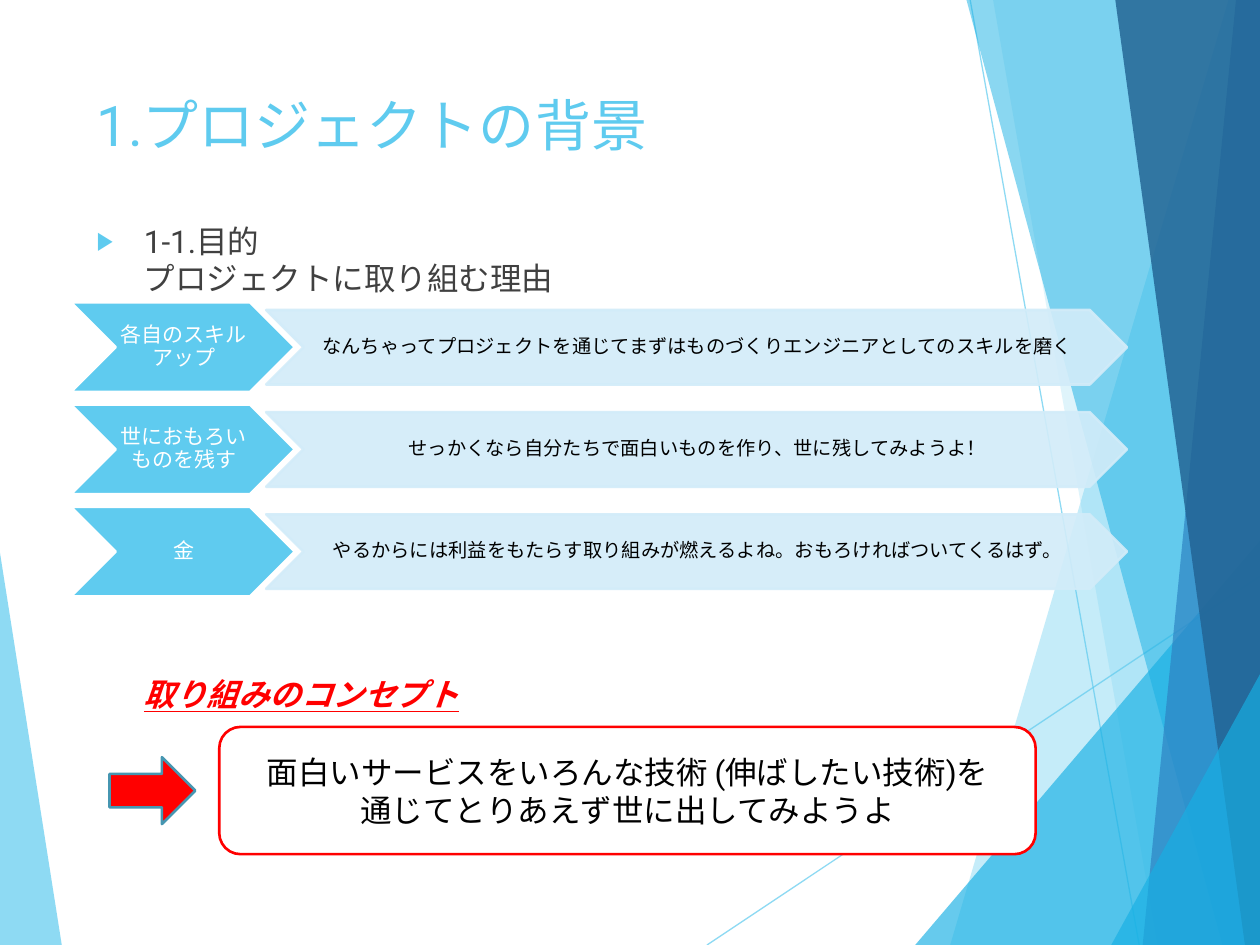
import pptx
import pptx.util
import pptx.dml.color
import pptx.enum.shapes
import pptx.enum.text
import pptx.oxml
import pptx.oxml.ns
import lxml.etree

Pt = pptx.util.Pt
MSO = pptx.enum.shapes.MSO_SHAPE
ALIGN = pptx.enum.text.PP_ALIGN
ANCHOR = pptx.enum.text.MSO_ANCHOR
qn = pptx.oxml.ns.qn

COLORS = {
    "sky": "5FCBEF", "cyan": "17B0E4", "blue": "2E83C3", "navy": "226292",
    "pale": "D2ECF9", "teal": "4696B1", "red": "FF0000", "text": "404040",
    "black": "000000", "white": "FFFFFF",
}
FONTS = {
    "title": {"name": "Roboto", "size": Pt(32), "bold": False},
    "body": {"name": "Roboto", "size": Pt(18)},
    "concept": {"name": "Roboto", "size": Pt(18), "bold": True, "italic": True, "underline": True},
    "label": {"name": "Roboto", "size": Pt(12)},
    "reason": {"name": "Roboto", "size": Pt(11)},
}
TIGHT = {"margin_left": Pt(1.2), "margin_right": 0, "margin_top": Pt(0.6), "margin_bottom": Pt(0.6)}
W, H = 720, 540
FACETS = [
    ("sky", 70, [(0, 316), (35.3, H), (0, H)]),
    ("sky", 36, [(702, 0), (543, H), (W, H), (W, 0)]),
    ("sky", 20, [(567.5, 0), (661.5, H), (W, H), (W, 0)]),
    ("cyan", 66, [(523, H), (W, 309), (W, H)]),
    ("cyan", 50, [(552.3, 0), (698.5, H), (W, H), (W, 0)]),
    ("blue", 70, [(706.3, 0), (653, H), (W, H), (W, 0)]),
    ("navy", 82, [(637.3, 0), (711.4, H), (W, H), (W, 0)]),
    ("cyan", 66, [(635, H), (W, 385.2), (W, H)]),
]
RAYS = [(404, H, W, 329.3), (554.4, 0, 651, H)]
REASONS = [
    ("各自のスキルアップ", "なんちゃってプロジェクトを通じてまずはものづくりエンジニアとしてのスキルを磨く"),
    ("世におもろいものを残す", "せっかくなら自分たちで面白いものを作り、世に残してみようよ！"),
    ("金", "やるからには利益をもたらす取り組みが燃えるよね。おもろければついてくるはず。"),
]


def rgb(name):
    return pptx.dml.color.RGBColor.from_string(COLORS[name])


def set_all(obj, values):
    for key, value in values.items():
        setattr(obj, key, value)


def set_alpha(sp, percent):
    for clr in sp._element.spPr.iter(qn("a:srgbClr")):
        lxml.etree.SubElement(clr, qn("a:alpha")).set("val", str(percent * 1000))


def paint(sp, fill, line=None, alpha=100):
    sp.shadow.inherit = False
    sp.fill.solid()
    sp.fill.fore_color.rgb = rgb(fill)
    if line:
        sp.line.color.rgb = rgb(line)
        sp.line.width = Pt(1.5)
    else:
        sp.line.fill.background()
    if alpha < 100:
        set_alpha(sp, alpha)


def write(p, text, font, color, **layout):
    r = p.add_run()
    r.text = text
    set_all(r.font, FONTS[font])
    r.font.color.rgb = rgb(color)
    set_all(p, layout)


def add_box(slide, kind, x, y, w, h, fill, line, alpha=100):
    sp = slide.shapes.add_shape(kind, Pt(x), Pt(y), Pt(w), Pt(h))
    paint(sp, fill, line, alpha)
    set_all(sp.text_frame, {"word_wrap": True, "vertical_anchor": ANCHOR.MIDDLE})
    return sp


def add_backdrop(slide, x, y):
    def facet(color, alpha, points):
        pts = [(Pt(x + px), Pt(y + py)) for px, py in points]
        fb = slide.shapes.build_freeform(*pts[0], scale=1.0)
        fb.add_line_segments(pts[1:], close=True)
        paint(fb.convert_to_shape(), color, alpha=alpha)

    facet(*FACETS[0])
    for x1, y1, x2, y2 in RAYS:
        ray = slide.shapes.add_connector(
            pptx.enum.shapes.MSO_CONNECTOR.STRAIGHT,
            Pt(x + x1), Pt(y + y1), Pt(x + x2), Pt(y + y2))
        ray.line.color.rgb = rgb("sky")
        ray.line.width = Pt(0.75)
        set_alpha(ray, 70)
        lxml.etree.SubElement(ray._element.spPr, qn("a:effectLst"))
    for item in FACETS[1:]:
        facet(*item)


def place(slide, sp, x, y, w, h):
    set_all(sp, {"left": Pt(x), "top": Pt(y), "width": Pt(w), "height": Pt(h)})
    slide.shapes._spTree.append(sp._element)
    tf = sp.text_frame
    set_all(tf, {"word_wrap": True, "vertical_anchor": ANCHOR.TOP,
                 "auto_size": pptx.enum.text.MSO_AUTO_SIZE.NONE})
    return tf


def add_title(slide, x, y, w, h):
    tf = place(slide, slide.shapes.title, x, y, w, h)
    write(tf.paragraphs[0], "1.プロジェクトの背景", "title", "sky", alignment=ALIGN.LEFT)


def set_bullet(p, indent, char=None):
    pPr = p._p.get_or_add_pPr()
    pPr.set("marL", str(Pt(indent)))
    pPr.set("indent", str(-Pt(indent) if char else 0))
    if not char:
        lxml.etree.SubElement(pPr, qn("a:buNone"))
        return
    clr = lxml.etree.SubElement(pPr, qn("a:buClr"))
    lxml.etree.SubElement(clr, qn("a:srgbClr")).set("val", COLORS["sky"])
    lxml.etree.SubElement(pPr, qn("a:buSzPct")).set("val", "80000")
    lxml.etree.SubElement(pPr, qn("a:buChar")).set("char", char)


def add_body(slide, x, y, w, h):
    tf = place(slide, slide.placeholders[1], x, y, w, h)
    p = tf.paragraphs[0]
    write(p, "1-1.目的", "body", "text", space_before=Pt(0))
    p.add_line_break()
    write(p, "プロジェクトに取り組む理由", "body", "text")
    set_bullet(p, 27, "▶")
    p = tf.add_paragraph()
    write(p, "取り組みのコンセプト", "concept", "red", space_before=Pt(216))
    set_bullet(p, 27)


def add_reason(slide, x, y, w, h, label, reason):
    parts = [
        (x, y, 128, h, "sky", "white", 100, label, "label", "white"),
        (x + 111.6, y + 4.3, w - 111.6, h - 8.6, "pale", "pale", 90, reason, "reason", "black"),
    ]
    for px, py, pw, ph, fill, line, alpha, text, font, color in parts:
        sp = add_box(slide, MSO.CHEVRON, px, py, pw, ph, fill, line, alpha)
        set_all(sp.text_frame, TIGHT)
        write(sp.text_frame.paragraphs[0], text, font, color,
              alignment=ALIGN.CENTER, line_spacing=0.9)


def add_concept(slide, x, y, w, h):
    add_box(slide, MSO.RIGHT_ARROW, x, y + 17.3, 49, 38.2, "red", "teal")
    sp = add_box(slide, MSO.ROUNDED_RECTANGLE, x + 62.7, y, w - 62.7, h, "white", "red")
    tf = sp.text_frame
    write(tf.paragraphs[0], "面白いサービスをいろんな技術 (伸ばしたい技術)を", "body", "black",
          alignment=ALIGN.CENTER)
    write(tf.add_paragraph(), "通じてとりあえず世に出してみようよ", "body", "black",
          alignment=ALIGN.CENTER)


prs = pptx.Presentation()
prs.slide_width, prs.slide_height = Pt(W), Pt(H)
slide = prs.slides.add_slide(prs.slide_layouts[1])
add_backdrop(slide, 0, 0)
add_title(slide, 48, 48, 622, 51)
add_body(slide, 48, 123, 622, 353)
for i, (label, reason) in enumerate(REASONS):
    add_reason(slide, 40.5, 172.8 + 58.4 * i, 603.5, 51.2, label, reason)
add_concept(slide, 62.6, 415.4, 529.2, 72.7)
prs.save("out.pptx")
